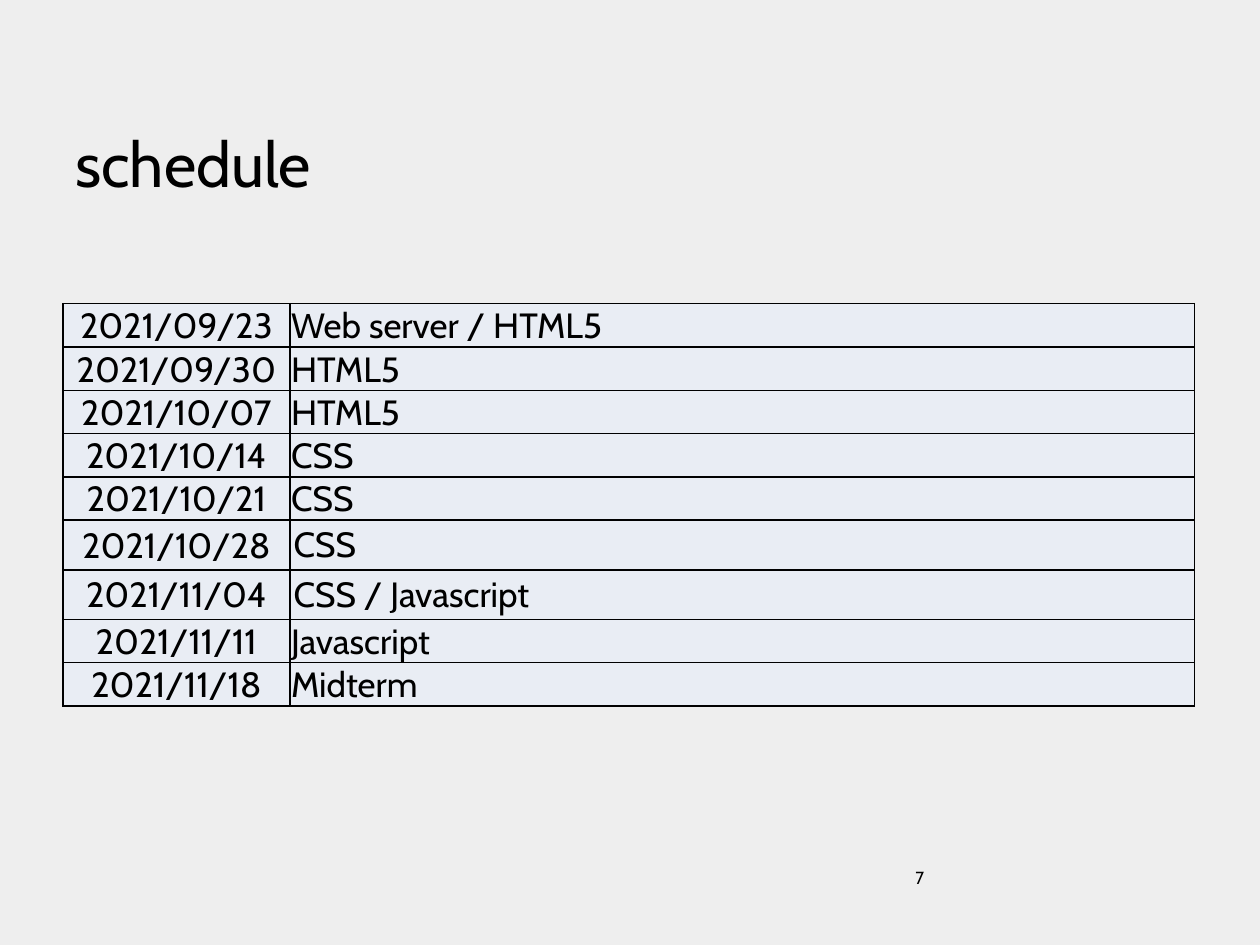
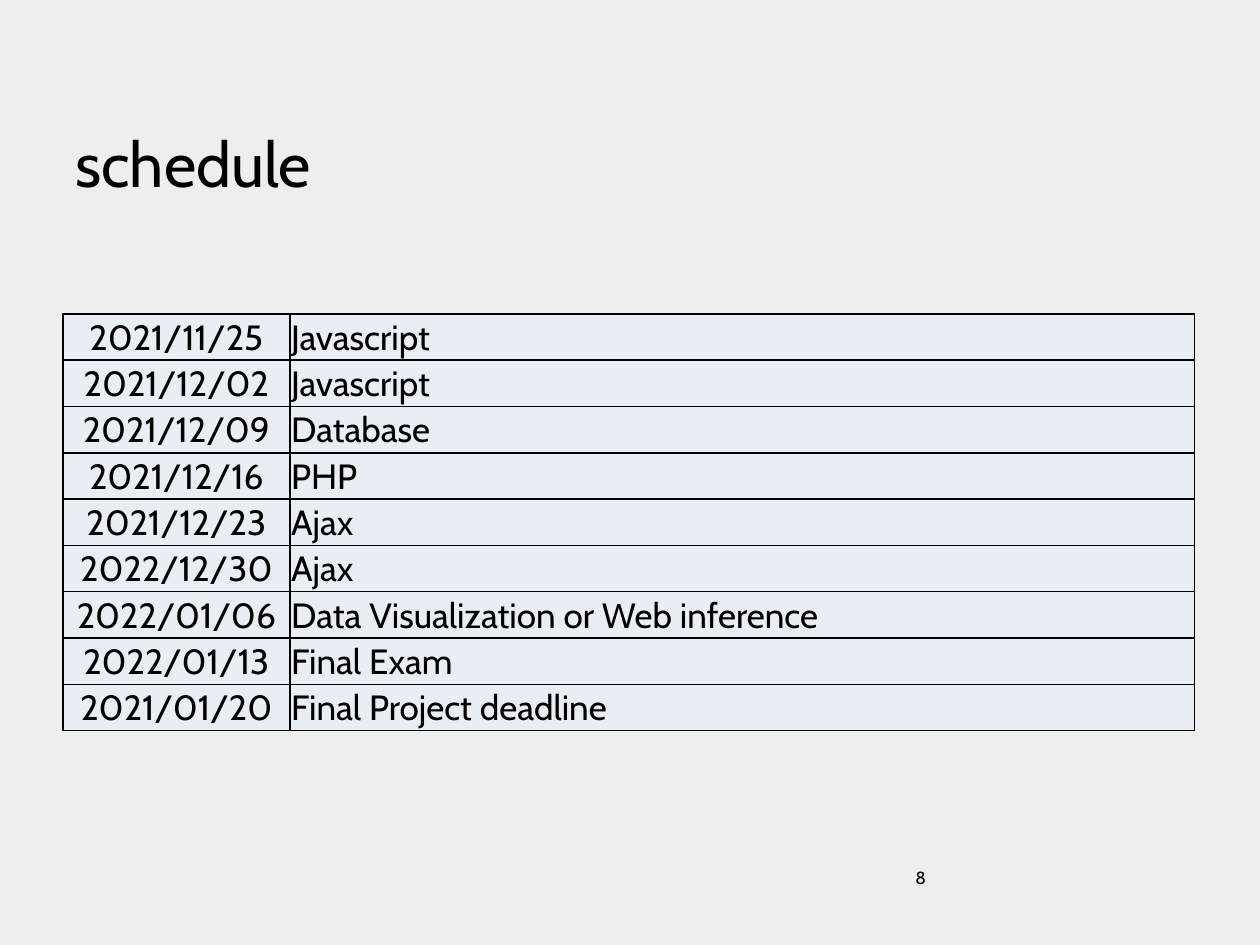
from lxml import etree
from pptx import Presentation
from pptx.dml.color import RGBColor
from pptx.enum import text as t
from pptx.oxml.ns import qn
from pptx.util import Pt

FONT, INK, PAGE, CELL = "Cabin", "000000", "EEEEEE", "E9EDF4"
TITLE = "schedule"
LEFT, COLS = 36, (129.6, 517)
THIN, WIDE = (0.72, 0.72, 0.72, 0), (2.16,) * 4  # left, top, right, bottom

SLIDES = [
    dict(num=7, top=173.5, high=22.3, wide=("2021/10/28", "2021/11/04"), rows=[
        ("2021/09/23", "Web server / HTML5"),
        ("2021/09/30", "HTML5"),
        ("2021/10/07", "HTML5"),
        ("2021/10/14", "CSS"),
        ("2021/10/21", "CSS"),
        ("2021/10/28", "CSS"),
        ("2021/11/04", "CSS / Javascript"),
        ("2021/11/11", "Javascript"),
        ("2021/11/18", "Midterm"),
    ]),
    dict(num=8, top=179.3, high=26.5, wide=(), rows=[
        ("2021/11/25", "Javascript"),
        ("2021/12/02", "Javascript"),
        ("2021/12/09", "Database"),
        ("2021/12/16", "PHP"),
        ("2021/12/23", "Ajax"),
        ("2022/12/30", "Ajax"),
        ("2022/01/06", "Data Visualization or Web inference"),
        ("2022/01/13", "Final Exam"),
        ("2021/01/20", "Final Project deadline"),
    ]),
]


def paint(fill, hue):
    fill.solid()
    fill.fore_color.rgb = RGBColor.from_string(hue)


def write(frame, words, size, align=t.PP_ALIGN.LEFT):
    para = frame.paragraphs[0]
    para.alignment = align
    run = para.add_run()
    run.text = words
    run.font.name, run.font.size = FONT, Pt(size)
    run.font.color.rgb = RGBColor.from_string(INK)


def label(slide, words, size, box, anchor):
    frame = slide.shapes.add_textbox(*map(Pt, box)).text_frame
    frame.word_wrap = True
    frame.vertical_anchor = anchor
    write(frame, words, size)


def edge(cell):
    """Draw a 1 pt line on all four sides; lines must come before the fill."""
    props = cell._tc.get_or_add_tcPr()
    for side in ("a:lnL", "a:lnR", "a:lnT", "a:lnB"):
        line = etree.SubElement(props, qn(side), w=str(Pt(1)))
        fill = etree.SubElement(line, qn("a:solidFill"))
        etree.SubElement(fill, qn("a:srgbClr"), val=INK)


def style(cell, words, align, pads):
    edge(cell)
    paint(cell.fill, CELL)
    cell.vertical_anchor = t.MSO_ANCHOR.MIDDLE
    (cell.margin_left, cell.margin_top,
     cell.margin_right, cell.margin_bottom) = map(Pt, pads)
    write(cell.text_frame, words, 20, align)


def plan(slide, top, high, wide, rows):
    """Add the table of dates and topics."""
    box = LEFT, top, sum(COLS), high * len(rows)
    table = slide.shapes.add_table(len(rows), len(COLS), *map(Pt, box)).table
    table.first_row = table.horz_banding = False
    for col, width in zip(table.columns, COLS):
        col.width = Pt(width)
    for i, (date, topic) in enumerate(rows):
        table.rows[i].height = Pt(high)
        style(table.cell(i, 0), date, t.PP_ALIGN.CENTER, THIN)
        style(table.cell(i, 1), topic, t.PP_ALIGN.LEFT,
              WIDE if date in wide else THIN)


def main():
    deck = Presentation()
    deck.slide_width, deck.slide_height = Pt(720), Pt(540)
    for data in SLIDES:
        slide = deck.slides.add_slide(deck.slide_layouts[6])
        paint(slide.background.fill, PAGE)
        label(slide, TITLE, 36, (LEFT, 28, 648, 90), t.MSO_ANCHOR.BOTTOM)
        label(slide, str(data["num"]), 10, (516, 492, 168, 37.5),
              t.MSO_ANCHOR.TOP)
        plan(slide, data["top"], data["high"], data["wide"], data["rows"])
    deck.save("out.pptx")


if __name__ == "__main__":
    main()
